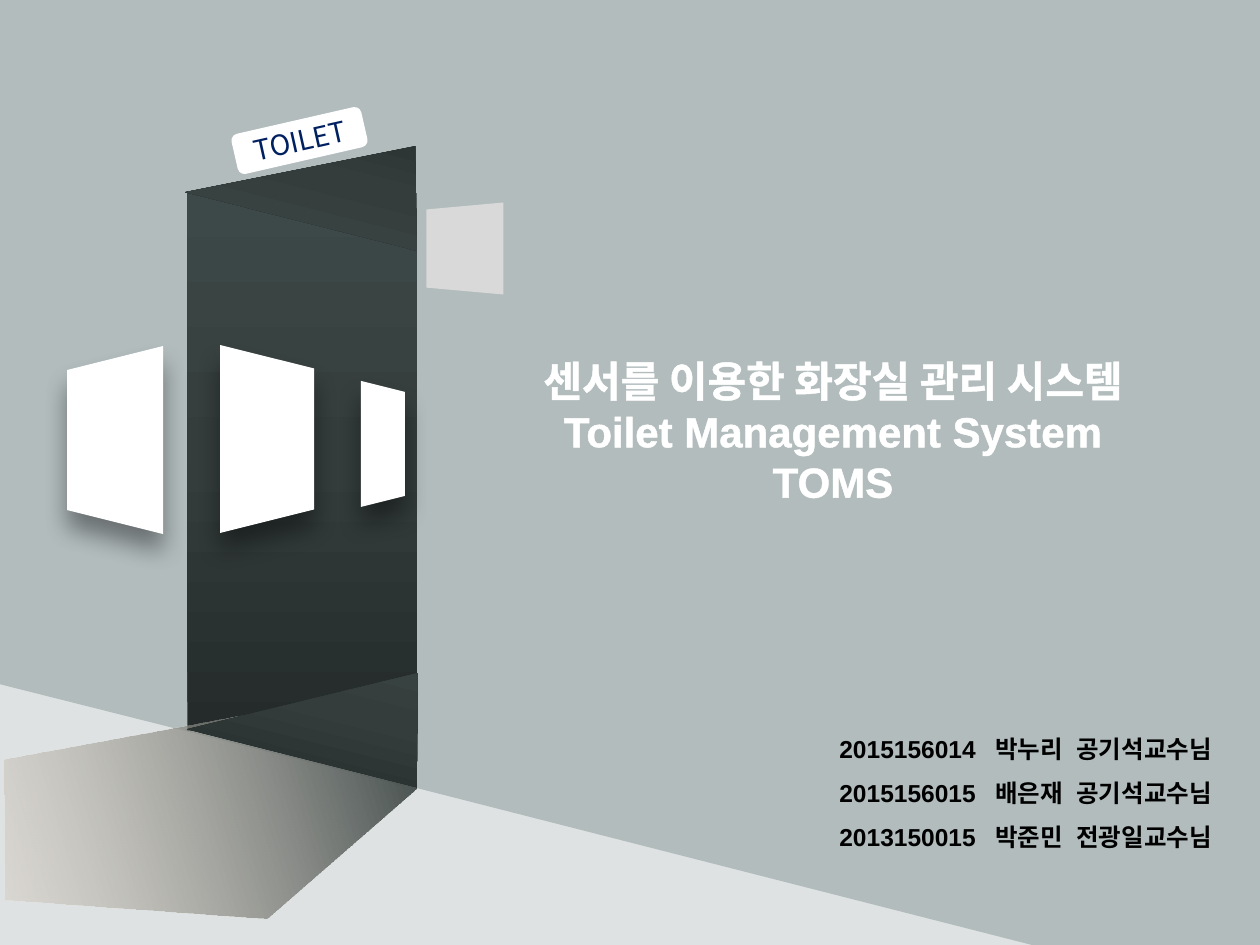
from lxml.etree import SubElement
from pptx import Presentation
from pptx.dml.color import RGBColor
from pptx.enum.shapes import MSO_SHAPE as KIND
from pptx.enum.text import MSO_ANCHOR, MSO_AUTO_SIZE, PP_ALIGN
from pptx.oxml import parse_xml
from pptx.oxml.ns import nsdecls, qn
from pptx.util import Inches, Pt

# Content
TITLE = ["센서를 이용한 화장실 관리 시스템", "Toilet Management System", "TOMS"]
TEAM = [
    ("2015156014", "박누리", "공기석교수님"),
    ("2015156015", "배은재", "공기석교수님"),
    ("2013150015", "박준민", "전광일교수님"),
]
TABS = (156, 237)
SIGN = "TOILET"

# Colours: gradient stops are (position, colour, opacity)
FLOOR, WALL, WHITE, GREY = "DEE2E2", "B2BCBD", "FFFFFF", "D9D9D9"
DARK = [(0, "242B2A", 100), (50, "343D3C", 100), (100, "3D4948", 100)]
LIGHT = [(0, "D6CCC0", 46), (100, "3E4847", 100)]

# Outlines and boxes in px
WALLS = [
    [(-1, 0), (404, 0), (404, 786), (-1, 684)],
    [(393, -1), (1260, -1), (1260, 945), (1032, 945), (393, 782)],
]
BEAM = [(379, 691), (416, 789), (266, 919), (5, 900), (4, 760)]
DOOR = (33, 347, 539, 230)
LINTEL = (194, 122, 239, 101)
SILL = (197, 649, 237, 111)
PANELS = [((173, 392, 188, 94), 90), ((320, 422, 126, 44), 90),
          ((21, 392, 188, 96), 270)]
PLATE = (419, 210, 92, 77)

PX = Inches(10) / 1260
prs = Presentation()
prs.slide_width, prs.slide_height = round(1260 * PX), round(945 * PX)
slide = prs.slides.add_slide(prs.slide_layouts[5])
shapes = slide.shapes


def rgb(code):
    return RGBColor.from_string(code)


def emu(box):
    return [round(n * PX) for n in box]


def paint(shape, fill, angle=0):
    shape.shadow.inherit = False
    shape.line.fill.background()
    if isinstance(fill, str):
        shape.fill.solid()
        shape.fill.fore_color.rgb = rgb(fill)
        return shape
    stops = "".join(
        f'<a:gs pos="{pos * 1000}"><a:srgbClr val="{code}">'
        f'<a:alpha val="{alpha * 1000}"/></a:srgbClr></a:gs>'
        for pos, code, alpha in fill)
    grad = parse_xml(
        f'<a:gradFill {nsdecls("a")} rotWithShape="1"><a:gsLst>{stops}</a:gsLst>'
        f'<a:lin ang="{angle * 60000}" scaled="0"/></a:gradFill>')
    shape._element.spPr.find(qn("a:ln")).addprevious(grad)
    return shape


def draw(kind, box, fill, turn=0, angle=0, adj=None):
    shape = shapes.add_shape(kind, *emu(box))
    shape.rotation = turn
    if adj is not None:
        shape.adjustments[0] = adj
    return paint(shape, fill, angle)


def trace(points, fill, angle=0):
    pen = shapes.build_freeform(*points[0], scale=PX)
    pen.add_line_segments(points[1:], close=True)
    return paint(pen.convert_to_shape(), fill, angle)


def shade(shape):
    glow = shape._element.spPr.find(qn("a:effectLst"))
    drop = SubElement(glow, qn("a:outerShdw"), blurRad=str(Pt(14)),
                      dist=str(Pt(10)), dir="5400000", rotWithShape="0")
    tint = SubElement(drop, qn("a:srgbClr"), val="000000")
    SubElement(tint, qn("a:alpha"), val="40000")


def style(par, size, code, face="Arial", bold=True):
    for run in par.runs:
        font = run.font
        font.size, font.name, font.bold = Pt(size), face, bold
        font.color.rgb = rgb(code)


# Background and walls
back = slide.background.fill
back.solid()
back.fore_color.rgb = rgb(FLOOR)
for points in WALLS:
    trace(points, WALL)

# Doorway and the light on the floor
draw(KIND.TRAPEZOID, DOOR, DARK, 90, 180)
draw(KIND.ISOSCELES_TRIANGLE, LINTEL, DARK, 14.2, 90, 0.886)
trace(BEAM, LIGHT, 343)
draw(KIND.ISOSCELES_TRIANGLE, SILL, DARK, 14.2, 270, 0.886)

# Hanging panels and side plate
for box, turn in PANELS:
    shade(draw(KIND.TRAPEZOID, box, WHITE, turn))
draw(KIND.TRAPEZOID, PLATE, GREY, 270, adj=0.09)

# Door sign
draw(KIND.ROUNDED_RECTANGLE, (233, 120, 133, 41), WHITE, 347.1)
sign = shapes.add_textbox(*emu((183, 117, 234, 47)))
sign.rotation = 347.3
frame = sign.text_frame
frame.word_wrap = True
frame.text = SIGN
frame.paragraphs[0].alignment = PP_ALIGN.CENTER
style(frame.paragraphs[0], 16, "002060", "Noto Sans CJK KR", False)

# Title, brought in front of the walls
title = shapes.title
shapes._spTree.append(title._element)
title.left, title.top, title.width, title.height = emu((475, 310, 716, 241))
frame = title.text_frame
frame.text = "\n".join(TITLE)
frame.auto_size = MSO_AUTO_SIZE.NONE
frame.vertical_anchor = MSO_ANCHOR.MIDDLE
frame.margin_left = frame.margin_right = 0
frame.margin_top = frame.margin_bottom = 0
for par in frame.paragraphs:
    par.alignment = PP_ALIGN.CENTER
    style(par, 24, WHITE)
    for run in par.runs:
        edge = parse_xml(
            f'<a:ln {nsdecls("a")} w="{Pt(0.75)}"><a:solidFill>'
            f'<a:srgbClr val="{WHITE}"/></a:solidFill></a:ln>')
        run._r.get_or_add_rPr().insert(0, edge)

# Team list, in columns set by tabs
team = shapes.add_textbox(*emu((827, 713, 426, 185)))
frame = team.text_frame
frame.word_wrap = True
frame.text = "\n".join("\t".join(row) for row in TEAM)
for par in frame.paragraphs:
    par.line_spacing = 1.5
    stops = SubElement(par._p.get_or_add_pPr(), qn("a:tabLst"))
    for tab in TABS:
        SubElement(stops, qn("a:tab"), pos=str(round(tab * PX)), algn="l")
    style(par, 14, "000000")

prs.save("out.pptx")
